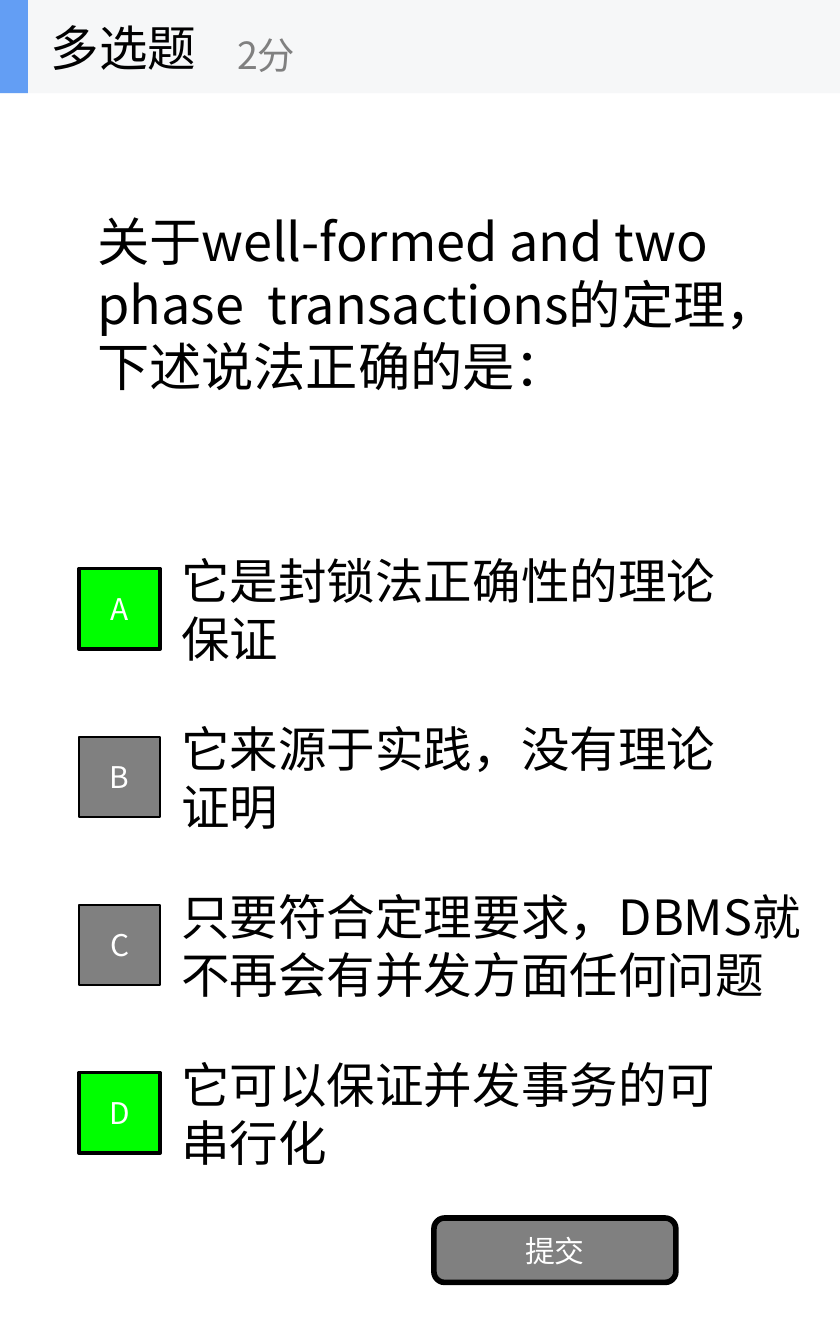
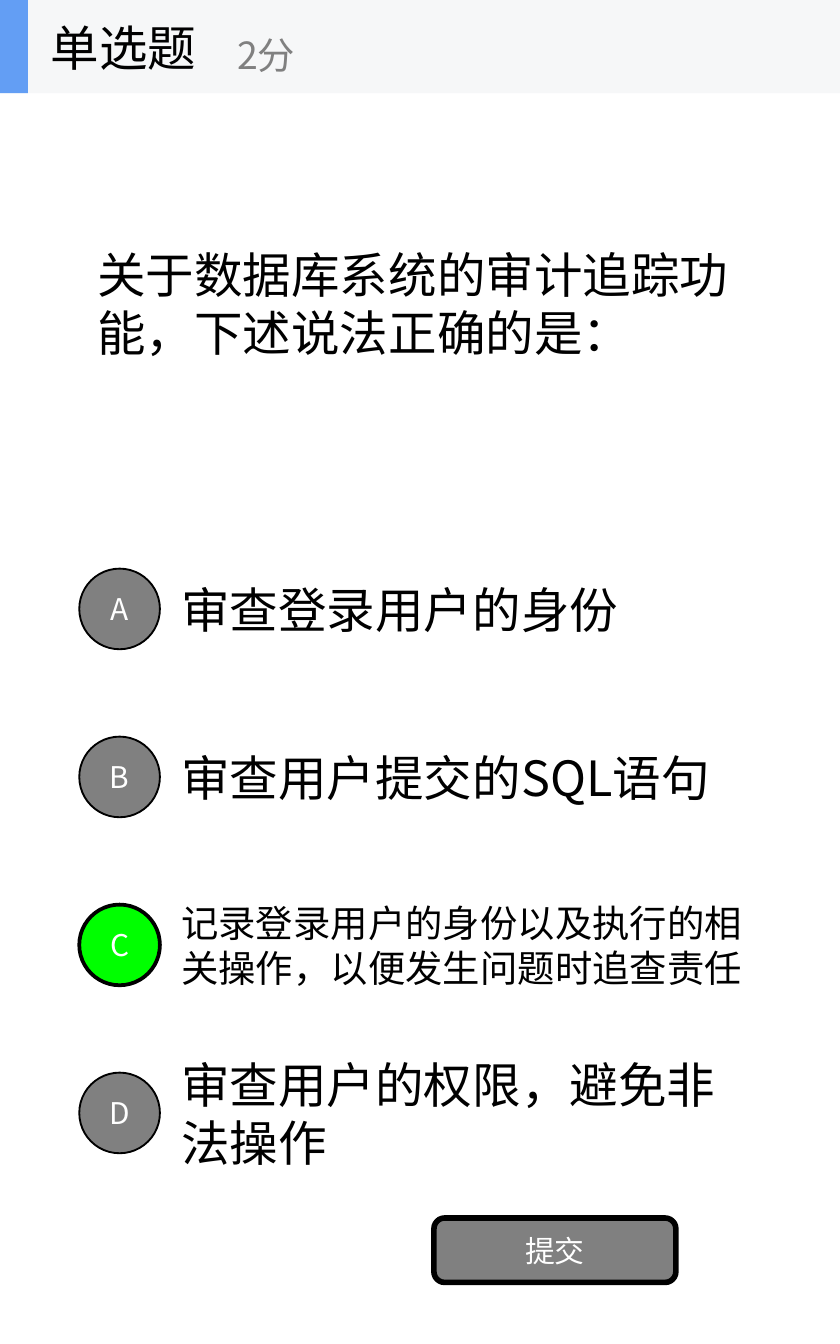
"""Build two portrait quiz slides with lettered answer options."""
from dataclasses import dataclass

from lxml import etree
from pptx import Presentation
from pptx import util as u
from pptx.dml import color
from pptx.enum import shapes, text
from pptx.oxml import ns


@dataclass(frozen=True)
class Theme:
    font: str = "Noto Sans CJK SC"
    black: str = "000000"
    white: str = "FFFFFF"
    gray: str = "808080"
    correct: str = "00FF00"
    band: str = "F6F7F8"
    accent: str = "639EF4"
    question: int = 28
    body: int = 26
    small: int = 20
    label: int = 16


THEME = Theme()
SHAPE = shapes.MSO_SHAPE
LEFT, CENTER = text.PP_ALIGN.LEFT, text.PP_ALIGN.CENTER

QUIZZES = [
    {
        "title": "多选题",
        "question": "关于well-formed and two phase  transactions的定理，下述说法正确的是：",
        "question_size": THEME.question,
        "badge": SHAPE.RECTANGLE,
        "answers": "AD",
        "options": [
            ("它是封锁法正确性的理论保证", THEME.body, 315),
            ("它来源于实践，没有理论证明", THEME.body, 315),
            ("只要符合定理要求，DBMS就不再会有并发方面任何问题", THEME.body, 355),
            ("它可以保证并发事务的可串行化", THEME.body, 315),
        ],
    },
    {
        "title": "单选题",
        "question": "关于数据库系统的审计追踪功能，下述说法正确的是：",
        "question_size": THEME.body,
        "badge": SHAPE.OVAL,
        "answers": "C",
        "options": [
            ("审查登录用户的身份", THEME.body, 315),
            ("审查用户提交的SQL语句", THEME.body, 315),
            ("记录登录用户的身份以及执行的相关操作，以便发生问题时追查责任", THEME.small, 315),
            ("审查用户的权限，避免非法操作", THEME.body, 315),
        ],
    },
]
POINTS, SUBMIT = "2分", "提交"

PAGE_WIDTH, PAGE_HEIGHT = 450, 720
BAND_HEIGHT = 50
OPTION_TOP, OPTION_STEP, OPTION_HEIGHT = 292.5, 90, 67.5
BADGE_SIZE = 43.2


def points(*values):
    return [u.Pt(value) for value in values]


def write(box, words, size, ink=THEME.black, align=LEFT):
    frame = box.text_frame
    frame.text = words
    frame.word_wrap = True
    frame.auto_size = text.MSO_AUTO_SIZE.NONE
    frame.vertical_anchor = text.MSO_ANCHOR.MIDDLE
    para = frame.paragraphs[0]
    para.alignment = align
    span = para.runs[0]
    span.font.size = u.Pt(size)
    span.font.color.rgb = color.RGBColor.from_string(ink)
    span.font.name = THEME.font
    east_asian = etree.SubElement(span.font._element, ns.qn("a:ea"))
    east_asian.set("typeface", THEME.font)


def add_text(page, place, words, size, ink=THEME.black):
    write(page.shapes.add_textbox(*points(*place)), words, size, ink)


def add_block(page, kind, place, fill, line=0, label=""):
    block = page.shapes.add_shape(kind, *points(*place))
    block.shadow.inherit = False
    block.fill.solid()
    block.fill.fore_color.rgb = color.RGBColor.from_string(fill)
    if line:
        block.line.color.rgb = color.RGBColor.from_string(THEME.black)
        block.line.width = u.Pt(line)
    else:
        block.line.fill.background()
    if label:
        write(block, label, THEME.label, THEME.white, CENTER)


def add_header(page, words):
    add_block(page, SHAPE.RECTANGLE, (0, 0, PAGE_WIDTH, BAND_HEIGHT), THEME.band)
    add_block(page, SHAPE.RECTANGLE, (0, 0, 15, BAND_HEIGHT), THEME.accent)
    title = page.shapes.title
    title.left, title.top, title.width, title.height = points(20, 0, 150, BAND_HEIGHT)
    write(title, words, THEME.body)
    title.element.getparent().append(title.element)
    add_text(page, (120, 9, 180, 40), POINTS, THEME.small, THEME.gray)


def add_options(page, quiz):
    for row, (letter, option) in enumerate(zip("ABCD", quiz["options"])):
        words, size, width = option
        top = OPTION_TOP + row * OPTION_STEP
        add_text(page, (90, top, width, OPTION_HEIGHT), words, size)
        badge_top = top + (OPTION_HEIGHT - BADGE_SIZE) / 2
        fill, line = (THEME.correct, 2) if letter in quiz["answers"] else (THEME.gray, 1)
        add_block(page, quiz["badge"], (42.5, badge_top, BADGE_SIZE, BADGE_SIZE),
                  fill, line, letter)


def main():
    deck = Presentation()
    deck.slide_width, deck.slide_height = points(PAGE_WIDTH, PAGE_HEIGHT)
    for quiz in QUIZZES:
        page = deck.slides.add_slide(deck.slide_layouts.get_by_name("Title Only"))
        add_text(page, (45, BAND_HEIGHT, 360, 225), quiz["question"], quiz["question_size"])
        add_options(page, quiz)
        add_block(page, SHAPE.ROUNDED_RECTANGLE, (232.5, 652.5, 129.6, 34.5),
                  THEME.gray, 3, SUBMIT)
        add_header(page, quiz["title"])
    deck.save("out.pptx")


if __name__ == "__main__":
    main()
